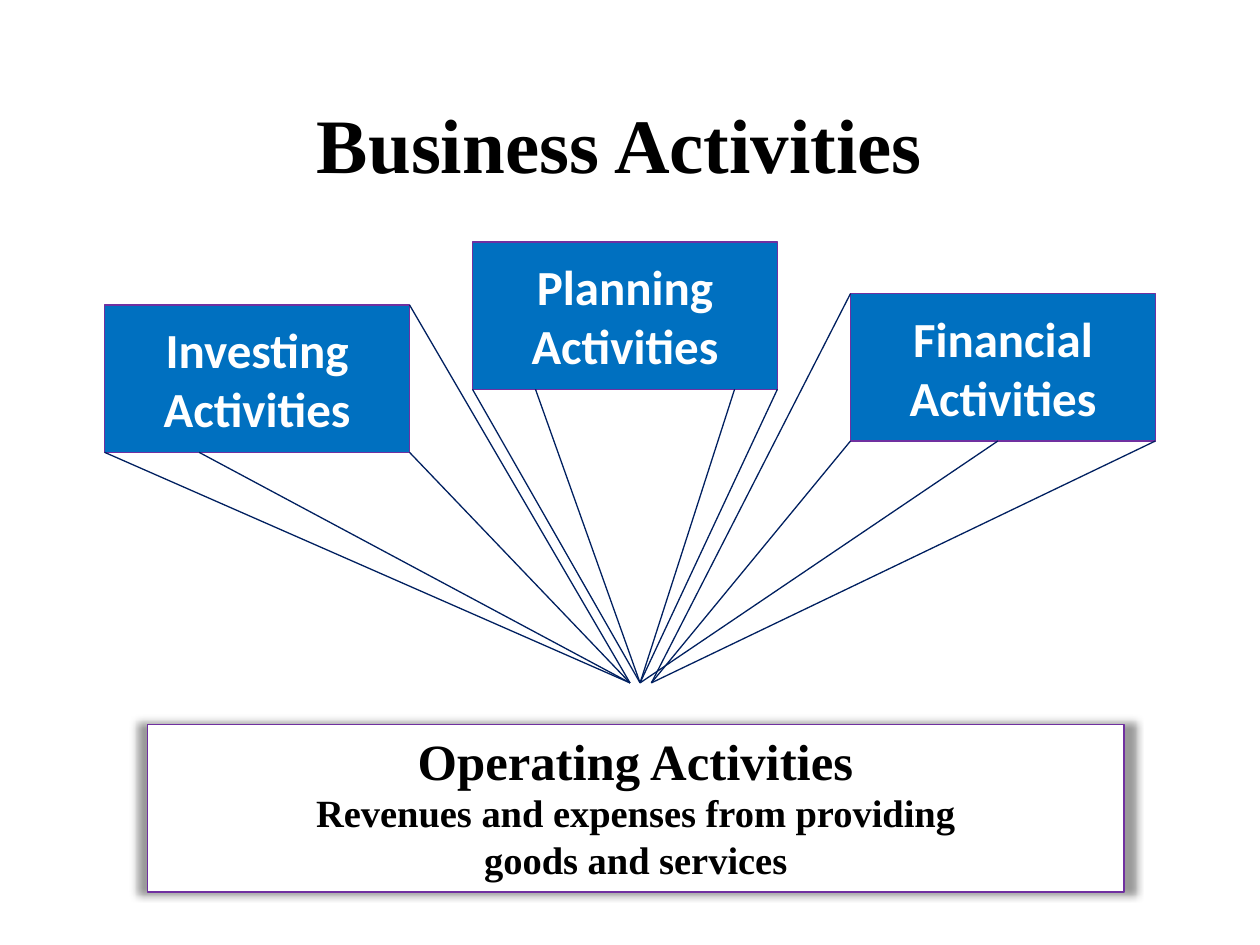
from typing import NamedTuple

from lxml import etree
from pptx import Presentation
from pptx.dml.color import RGBColor
from pptx.enum.shapes import MSO_CONNECTOR, MSO_SHAPE
from pptx.enum.text import MSO_ANCHOR, PP_ALIGN
from pptx.oxml import parse_xml
from pptx.oxml.ns import nsdecls, qn
from pptx.util import Inches, Pt

RECT = MSO_SHAPE.RECTANGLE
LINE = MSO_CONNECTOR.STRAIGHT
MIDDLE = MSO_ANCHOR.MIDDLE
CENTER = PP_ALIGN.CENTER

BLUE, NAVY, PURPLE = "0070C0", "002060", "7030A0"
WHITE, BLACK = "FFFFFF", "000000"
SANS, SERIF = "Calibri", "Times New Roman"
WIDTH, HEIGHT = 2.42, 1.17
BASE = 5.42


class Row(NamedTuple):
    text: str
    size: float
    font: str
    ink: str
    space: float = 1.0


class Ray(NamedTuple):
    dx: float
    dy: float
    end: float


class Card(NamedTuple):
    name: str
    left: float
    top: float
    rays: tuple[Ray, ...]


CARDS = (
    Card("Planning", 3.75, 1.92, (
        Ray(0, HEIGHT, 5.08), Ray(0.5, HEIGHT, 5.08),
        Ray(WIDTH, HEIGHT, 5.08), Ray(2.08, HEIGHT, 5.08))),
    Card("Investing", 0.83, 2.42, (
        Ray(0, HEIGHT, 5), Ray(WIDTH, HEIGHT, 5),
        Ray(0.75, HEIGHT, 5), Ray(WIDTH, 0, 5))),
    Card("Financial", 6.75, 2.33, (
        Ray(0, 0, 5.17), Ray(0, HEIGHT, 5.17),
        Ray(1.17, HEIGHT, 5.08), Ray(WIDTH, HEIGHT, 5.17))),
)


def color(code: str) -> RGBColor:
    return RGBColor.from_string(code)


def write(shape, rows: list[Row], wrap: bool = False) -> None:
    frame = shape.text_frame
    frame.word_wrap = wrap
    frame.vertical_anchor = MIDDLE
    for i, row in enumerate(rows):
        para = frame.add_paragraph() if i else frame.paragraphs[0]
        para.alignment = CENTER
        para.line_spacing = row.space
        run = para.add_run()
        run.text = row.text
        style = {"name": row.font, "size": Pt(row.size), "bold": True}
        for key, value in style.items():
            setattr(run.font, key, value)
        run.font.color.rgb = color(row.ink)


def draw_box(slide, left: float, top: float, width: float, height: float,
             fill: str, rows: list[Row]):
    box = slide.shapes.add_shape(
        RECT, Inches(left), Inches(top), Inches(width), Inches(height))
    box.shadow.inherit = False
    box.fill.solid()
    box.fill.fore_color.rgb = color(fill)
    box.line.color.rgb = color(PURPLE)
    box.line.width = Pt(0.75)
    write(box, rows)
    return box


def draw_ray(slide, card: Card, ray: Ray) -> None:
    line = slide.shapes.add_connector(
        LINE, Inches(card.left + ray.dx), Inches(card.top + ray.dy),
        Inches(ray.end), Inches(BASE))
    line.line.color.rgb = color(NAVY)
    line.line.width = Pt(0.75)
    etree.SubElement(line._element.spPr, qn("a:effectLst"))


def add_glow(box) -> None:
    """Give the box a soft shadow that spreads to both sides."""
    list_ = box._element.spPr.find(qn("a:effectLst"))
    list_.append(parse_xml(
        f'<a:outerShdw {nsdecls("a")} blurRad="{Pt(5)}" dist="0" '
        'sx="102000" sy="102000" algn="ctr" rotWithShape="0">'
        f'<a:srgbClr val="{BLACK}"><a:alpha val="40000"/></a:srgbClr>'
        '</a:outerShdw>'))


def main() -> None:
    deck = Presentation()
    deck.slide_width, deck.slide_height = Inches(10), Inches(7.5)
    slide = deck.slides.add_slide(deck.slide_layouts[6])

    for card in CARDS:
        rows = [Row(text, 28, SANS, WHITE)
                for text in (card.name, "Activities")]
        draw_box(slide, card.left, card.top, WIDTH, HEIGHT, BLUE, rows)
    for card in CARDS:
        for ray in card.rays:
            draw_ray(slide, card, ray)

    base = draw_box(slide, 1.17, 5.75, 7.75, 1.33, WHITE, [
        Row("Operating Activities", 29, SERIF, BLACK, 0.95),
        Row("Revenues and expenses from providing", 22, SERIF, BLACK, 0.95),
        Row("goods and services", 22, SERIF, BLACK)])
    add_glow(base)

    title = slide.shapes.add_textbox(
        Inches(0.67), Inches(0.67), Inches(8.5), Inches(0.92))
    write(title, [Row("Business Activities", 44, SERIF, BLACK)], True)
    deck.save("out.pptx")


if __name__ == "__main__":
    main()
